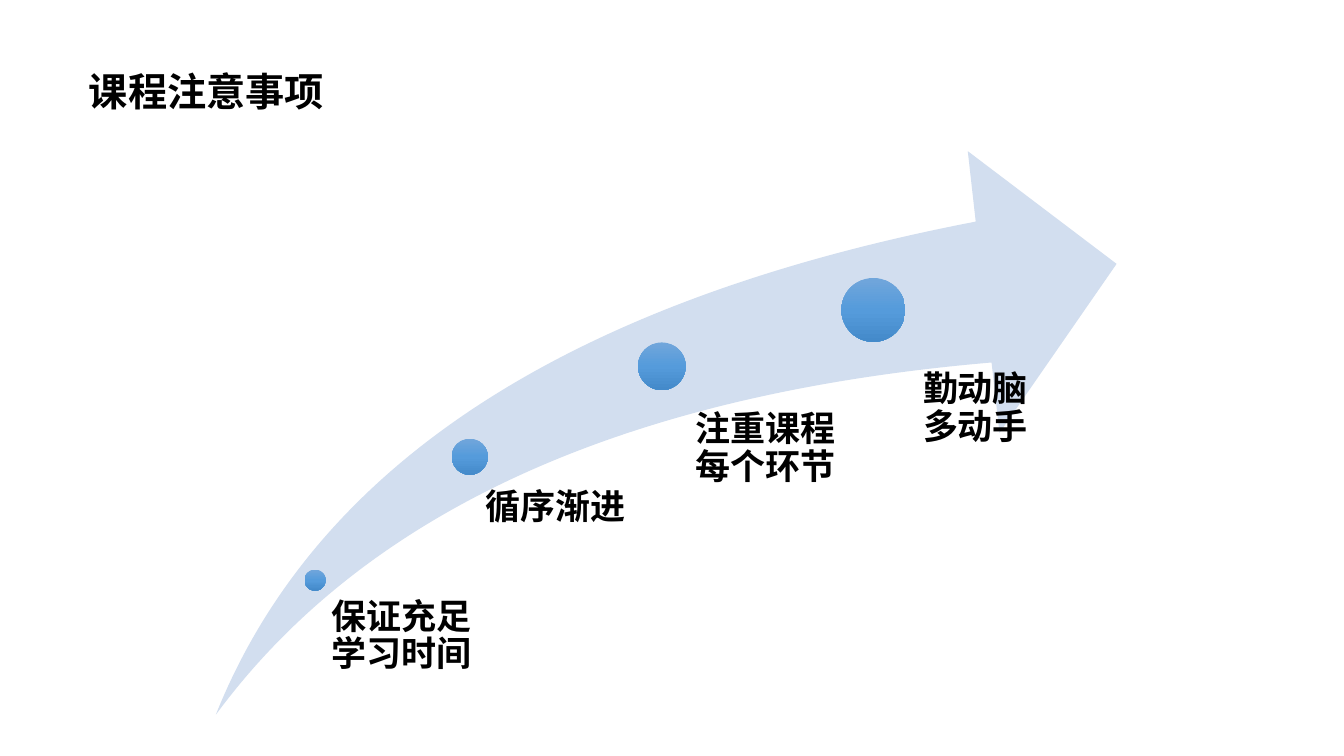
from copy import deepcopy
from dataclasses import dataclass

from pptx import Presentation
from pptx.dml.color import RGBColor
from pptx.enum.shapes import MSO_SHAPE as Shape
from pptx.enum.text import MSO_ANCHOR as Anchor, MSO_AUTO_SIZE as AutoSize, PP_ALIGN as Align
from pptx.oxml.ns import qn
from pptx.oxml.xmlchemy import OxmlElement
from pptx.util import Cm, Pt


@dataclass(frozen=True)
class Theme:
    font: str = "Noto Sans CJK SC"
    ink: str = "000000"
    arrow: str = "D2DEEF"
    dot: tuple = ((0, "71A6DB"), (0.5, "559BDB"), (1, "448ACA"))
    title_size: int = 28
    label_size: int = 25


THEME = Theme()

# Dot centre x, y and diameter; label left, top, width, height; text.
# All in cm from the arrow's top left corner.
MILESTONES = [
    ((2.5, 10.81, 0.53), (2.64, 11.28, 3.89, 2.77), "保证充足\v学习时间"),
    ((6.4, 7.7, 0.91), (6.32, 8.51, 4.78, 2.64), "循序渐进"),
    ((11.24, 5.42, 1.2), (11.46, 6.55, 4.78, 3.73), "注重课程\v每个环节"),
    ((16.57, 4.0, 1.61), (16.97, 5.54, 4.78, 4.37), "勤动脑\v多动手"),
]


def write(shape, text, size, align=Align.LEFT, anchor=Anchor.TOP, spacing=1.0, insets=(0, 0, 0, 0)):
    frame = shape.text_frame
    frame.word_wrap = True
    frame.auto_size = AutoSize.NONE
    frame.vertical_anchor = anchor
    frame.margin_left, frame.margin_top, frame.margin_right, frame.margin_bottom = map(Cm, insets)
    para = frame.paragraphs[0]
    para.text = text
    para.alignment = align
    para.line_spacing = spacing
    for span in para.runs:
        span.font.name = THEME.font
        span.font.size = Pt(size)
        span.font.bold = True
        span.font.color.rgb = RGBColor.from_string(THEME.ink)
        east_asian = OxmlElement("a:ea")
        east_asian.set("typeface", THEME.font)
        span.font._element.find(qn("a:latin")).addnext(east_asian)


def add_plain(shapes, kind, left, top, width, height):
    shape = shapes.add_shape(kind, Cm(left), Cm(top), Cm(width), Cm(height))
    shape.shadow.inherit = False
    shape.line.fill.background()
    return shape


def fill_gradient(shape, stops):
    fill = shape.fill
    fill.gradient()
    fill.gradient_angle = 270
    stop_list = shape._element.spPr.find(".//" + qn("a:gsLst"))
    while len(stop_list) < len(stops):
        stop_list.append(deepcopy(stop_list[0]))
    for stop, (position, color) in zip(fill.gradient_stops, stops):
        stop.position = position
        stop.color.rgb = RGBColor.from_string(color)


def place_title(page, left, top, width, height):
    title = page.shapes.title
    title.left, title.top, title.width, title.height = map(Cm, (left, top, width, height))
    write(title, "课程注意事项", THEME.title_size, align=Align.JUSTIFY,
          anchor=Anchor.MIDDLE, insets=(0.36, 0.13, 0.36, 0.13))


def add_milestone(shapes, left, top, dot_place, label_place, text):
    # Dot on the arrow
    x, y, size = dot_place
    dot = add_plain(shapes, Shape.OVAL, left + x - size / 2, top + y - size / 2, size, size)
    fill_gradient(dot, THEME.dot)

    # Label, indented in step with the dot size
    x, y, width, height = label_place
    label = shapes.add_textbox(Cm(left + x), Cm(top + y), Cm(width), Cm(height))
    write(label, text, THEME.label_size, spacing=0.9, insets=(size * 0.53, 0, 0, 0))


def add_growth_arrow(page, left, top, width, height):
    shapes = page.shapes.add_group_shape().shapes
    arrow = add_plain(shapes, Shape.SWOOSH_ARROW, left, top, width, height)
    arrow.adjustments[0] = 0.25
    arrow.adjustments[1] = 0.25
    arrow.fill.solid()
    arrow.fill.fore_color.rgb = RGBColor.from_string(THEME.arrow)
    for milestone in MILESTONES:
        add_milestone(shapes, left, top, *milestone)


def main():
    deck = Presentation()
    deck.slide_width, deck.slide_height = Cm(33.87), Cm(19.05)
    page = deck.slides.add_slide(deck.slide_layouts.get_by_name("Title Only"))
    place_title(page, 1.88, 1.22, 12.62, 2.16)
    add_growth_arrow(page, 5.44, 3.81, 22.7, 14.2)
    deck.save("out.pptx")


if __name__ == "__main__":
    main()
